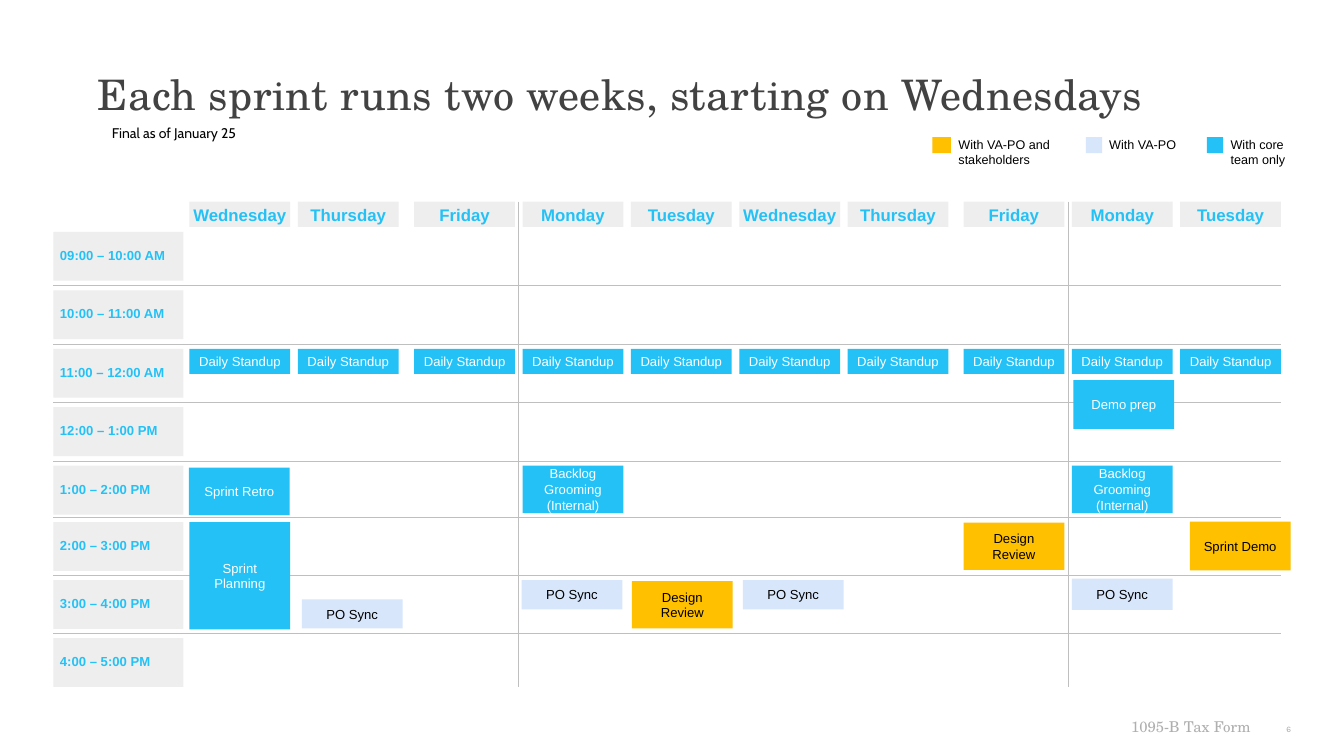
"""Build the two-week sprint calendar slide."""
from pptx import Presentation
from pptx.dml.color import RGBColor
from pptx.enum.shapes import MSO_CONNECTOR, MSO_SHAPE
from pptx.enum.text import MSO_ANCHOR, MSO_AUTO_SIZE, PP_ALIGN
from pptx.oxml.ns import qn
from pptx.util import Inches, Pt

RECTANGLE = MSO_SHAPE.RECTANGLE
STRAIGHT = MSO_CONNECTOR.STRAIGHT
TOP, MIDDLE = MSO_ANCHOR.TOP, MSO_ANCHOR.MIDDLE
LEFT, CENTER, RIGHT = PP_ALIGN.LEFT, PP_ALIGN.CENTER, PP_ALIGN.RIGHT

COLORS = {
    "core": "24C1F6", "owner": "D8E6FC", "stakeholders": "FFC000",
    "label": "EEEEEE", "rule": "BFBFBF", "title": "424242",
    "footer": "AFAFAF", "number": "A6AAA9", "black": "000000", "white": "FFFFFF",
}


def write(shape, text, size, color, font="Arial", align=LEFT, anchor=TOP,
          insets=(0, 0, 0, 0), bold=False, spacing=1.0):
    frame = shape.text_frame
    frame.text = text
    frame.word_wrap = True
    frame.auto_size = MSO_AUTO_SIZE.NONE
    frame.vertical_anchor = anchor
    (frame.margin_left, frame.margin_top,
     frame.margin_right, frame.margin_bottom) = map(Inches, insets)
    para = frame.paragraphs[0]
    para.alignment = align
    para.line_spacing = spacing
    para.font.name = font
    para.font.size = Pt(size)
    para.font.bold = bold
    para.font.color.rgb = RGBColor.from_string(COLORS[color])


def add_block(left, top, width, height, fill):
    block = page.shapes.add_shape(RECTANGLE, *map(Inches, (left, top, width, height)))
    block.shadow.inherit = False
    block.fill.solid()
    block.fill.fore_color.rgb = RGBColor.from_string(COLORS[fill])
    block.line.fill.background()
    return block


deck = Presentation()
deck.slide_width, deck.slide_height = Inches(26.67), Inches(15)
page = deck.slides.add_slide(deck.slide_layouts[5])

title = page.shapes.title
title.left, title.top = Inches(1.94), Inches(1.48)
title.width, title.height = Inches(22.87), Inches(0.91)
write(title, "Each sprint runs two weeks, starting on Wednesdays", 60, "title",
      "TeX Gyre Schola", spacing=0.9)
title.text_frame.paragraphs[0].runs[0].font._element.set("spc", "60")

captions = [
    ("Final as of January 25", 1.9, 2.27, 8.89, 0.6,
     dict(size=20, color="black", font="Cabin", anchor=MIDDLE, spacing=1.4,
          insets=(0.32, 0.08, 0.08, 0.08))),
    ("1095-B Tax Form", 21, 13.97, 4.09, 0.9,
     dict(size=21.3, color="footer", font="TeX Gyre Schola", align=RIGHT,
          insets=(0.27, 0.27, 0.27, 0.27))),
    ("6", 25.43, 14.32, 0.21, 0.16,
     dict(size=12, color="number", font="Karla", align=RIGHT,
          insets=(0, 0.05, 0.02, 0))),
]
for text, left, top, width, height, style in captions:
    box = page.shapes.add_textbox(*map(Inches, (left, top, width, height)))
    write(box, text, **style)

legend = [
    ("With VA-PO and stakeholders", "stakeholders", 18.5, 0.37, 19.02, 2.26, 0.61),
    ("With VA-PO", "owner", 21.55, 0.32, 22.01, 1.42, 0.3),
    ("With core team only", "core", 23.95, 0.32, 24.42, 1.34, 0.61),
]
for text, fill, left, size, text_left, width, height in legend:
    add_block(left, 2.72, size, 0.32, fill)
    box = page.shapes.add_textbox(*map(Inches, (text_left, 2.72, width, height)))
    write(box, text, 18, "black")

days = ["Wednesday", "Thursday", "Friday", "Monday", "Tuesday"] * 2
columns = [3.76 + 2.15 * i + 0.16 * (i >= 2) + 0.15 * (i >= 7) for i in range(len(days))]
slots = {
    "09:00 – 10:00 AM": 4.6, "10:00 – 11:00 AM": 5.76,
    "11:00 – 12:00 AM": 6.92, "12:00 – 1:00 PM": 8.08,
    "1:00 – 2:00 PM": 9.24, "2:00 – 3:00 PM": 10.36,
    "3:00 – 4:00 PM": 11.51, "4:00 – 5:00 PM": 12.66,
}

rules = [(1.06, top - 0.1, 25.42, top - 0.1, 0.25) for top in list(slots.values())[1:]]
rules += [(left, 4, left, 13.64, 0.75) for left in (10.28, 21.2)]
for *ends, weight in rules:
    rule = page.shapes.add_connector(STRAIGHT, *map(Inches, ends))
    rule.line.color.rgb = RGBColor.from_string(COLORS["rule"])
    rule.line.width = Pt(weight)
    properties = rule._element.spPr
    properties.append(properties.makeelement(qn("a:effectLst"), {}))

for hours, top in slots.items():
    label = add_block(1.06, top, 2.58, 0.97, "label")
    write(label, hours, 18.7, "core", anchor=MIDDLE, bold=True, spacing=0.9,
          insets=(0.13, 0.13, 0.08, 0.13))

for day, left in zip(days, columns):
    header = add_block(left, 4, 2, 0.5, "label")
    write(header, day, 24, "core", align=CENTER, anchor=MIDDLE, bold=True,
          spacing=1.1, insets=(0, 0, 0, 0.02))

events = [("Daily Standup", left, 6.92, 0.5, "core", 0.09) for left in columns]
events += [
    ("Sprint Retro", 3.75, 9.28, 0.94, "core", 0.2),
    ("Sprint Planning", 3.76, 10.36, 2.13, "core", 0.2),
    ("PO Sync", 5.99, 11.89, 0.58, "owner", 0.27),
    ("Backlog Grooming (Internal)", 10.37, 9.24, 0.94, "core", 0.27),
    ("PO Sync", 10.35, 11.51, 0.58, "owner", 0.27),
    ("Design Review", 12.54, 11.53, 0.94, "stakeholders", 0.27),
    ("PO Sync", 14.74, 11.51, 0.58, "owner", 0.27),
    ("Design Review", 19.12, 10.37, 0.94, "stakeholders", 0.27),
    ("Demo prep", 21.3, 7.54, 0.97, "core", 0.2),
    ("Backlog Grooming (Internal)", 21.27, 9.24, 0.94, "core", 0.27),
    ("PO Sync", 21.27, 11.48, 0.62, "owner", 0.27),
    ("Sprint Demo", 23.61, 10.35, 0.97, "stakeholders", 0.2),
]
for name, left, top, height, audience, inset in events:
    event = add_block(left, top, 2, height, audience)
    write(event, name, 18.7, "white" if audience == "core" else "black",
          align=CENTER, anchor=MIDDLE, insets=(inset, 0, inset, 0))

deck.save("out.pptx")
